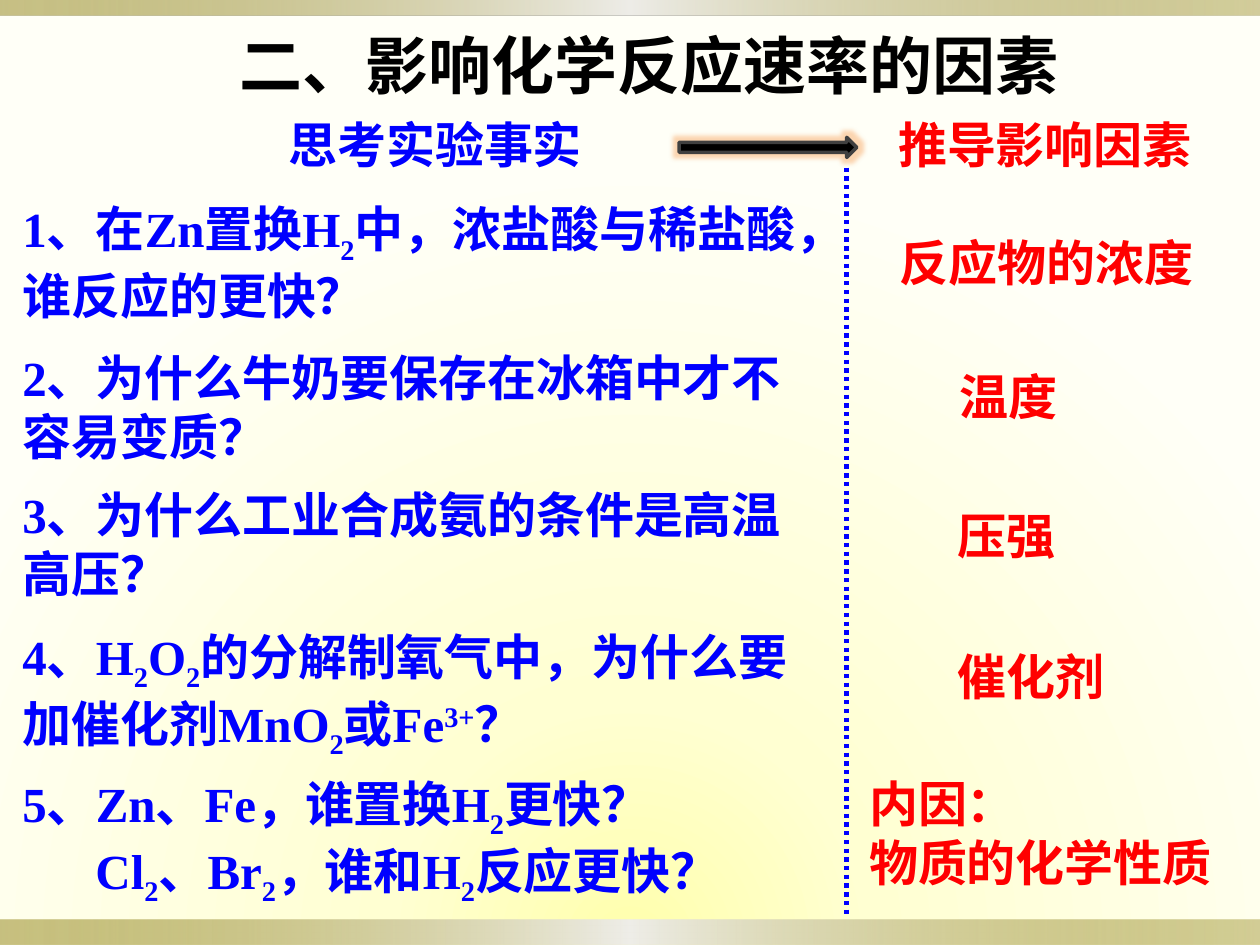
from dataclasses import dataclass

from lxml.etree import SubElement
from pptx import Presentation
from pptx.dml.color import RGBColor
from pptx.enum.dml import MSO_LINE
from pptx.enum.shapes import MSO_CONNECTOR, MSO_SHAPE
from pptx.enum.text import MSO_ANCHOR, MSO_AUTO_SIZE, PP_ALIGN
from pptx.oxml import parse_xml
from pptx.oxml.ns import nsdecls, qn
from pptx.util import Inches, Pt


@dataclass(frozen=True)
class Theme:
    title: str = "000000"
    question: str = "0000FF"
    factor: str = "FF0000"
    arrow: str = "000000"
    arrow_edge: str = "404040"
    glow: str = "F79646"
    page: tuple = ((0, "FFFFAC", 100), (31, "FFFFD2", 100), (100, "FFFFF7", 100))
    band: tuple = ((0, "918415", 50), (50, "EEEDE8", 100), (100, "918415", 40))
    title_size: int = 36
    text_size: int = 28
    title_font: str = "Calibri"
    latin_font: str = "Times New Roman"
    chinese_font: str = "Noto Sans CJK SC"


THEME = Theme()
BASELINES = {"_": "-25000", "^": "30000"}

# top, then lines of (indent, text); pieces starting with _ or ^ are lowered or raised
QUESTIONS = [
    (1.53, [(0, "1、在Zn置换H|_2|中，浓盐酸与稀盐酸，谁反应的更快？")]),
    (2.71, [(0, "2、为什么牛奶要保存在冰箱中才不容易变质？")]),
    (3.8, [(0, "3、为什么工业合成氨的条件是高温高压？")]),
    (4.92, [(0, "4、H|_2|O|_2|的分解制氧气中，为什么要加催化剂MnO|_2|或Fe|^3+|？")]),
    (6.09, [(0, "5、Zn、Fe，谁置换H|_2|更快？"),
            (0.58, "Cl|_2|、Br|_2|，谁和H|_2|反应更快？")]),
]
# left, top, width, lines
FACTORS = [
    (7.04, 1.8, 2.57, ["反应物的浓度"]),
    (7.52, 2.86, 0.99, ["温度"]),
    (7.5, 3.96, 0.99, ["压强"]),
    (7.5, 5.08, 1.39, ["催化剂"]),
    (6.8, 6.09, 2.96, ["内因：", "物质的化学性质"]),
]


def write_text(frame, lines, color, font=THEME.chinese_font, size=THEME.text_size, wrap=True):
    """Fill a text frame with (indent, marked text) lines."""
    frame.word_wrap = wrap
    frame.auto_size = MSO_AUTO_SIZE.NONE
    frame.vertical_anchor = MSO_ANCHOR.TOP
    for number, (indent, text) in enumerate(lines):
        paragraph = frame.add_paragraph() if number else frame.paragraphs[0]
        paragraph.alignment = PP_ALIGN.LEFT
        if indent:
            paragraph._p.get_or_add_pPr().set("marL", str(Inches(indent)))
        for piece in text.split("|"):
            run = paragraph.add_run()
            run.text = piece.lstrip("_^")
            run.font.size = Pt(size)
            run.font.bold = True
            run.font.name = font
            run.font.color.rgb = RGBColor.from_string(color)
            properties = run._r.get_or_add_rPr()
            SubElement(properties, qn("a:ea"), typeface=THEME.chinese_font)
            if piece[0] in BASELINES:
                properties.set("baseline", BASELINES[piece[0]])


def add_text(slide, left, top, width, height, lines, color, **text_format):
    box = slide.shapes.add_textbox(Inches(left), Inches(top), Inches(width), Inches(height))
    write_text(box.text_frame, lines, color, **text_format)


def set_gradient(fill, parent, stops, direction):
    """Give a fill the stops (position, colour, opacity) and the direction."""
    fill.gradient()
    entries = "".join(
        f'<a:gs pos="{position * 1000}"><a:srgbClr val="{color}">'
        f'<a:alpha val="{opacity * 1000}"/></a:srgbClr></a:gs>'
        for position, color, opacity in stops)
    gradient = parse_xml(f'<a:gradFill {nsdecls("a")} rotWithShape="1">'
                         f"<a:gsLst>{entries}</a:gsLst>{direction}</a:gradFill>")
    default = parent.find(".//" + qn("a:gradFill"))
    default.getparent().replace(default, gradient)


def add_band(slide, left, top, width, height):
    band = slide.shapes.add_shape(MSO_SHAPE.RECTANGLE, Inches(left), Inches(top),
                                  Inches(width), Inches(height))
    band.shadow.inherit = False
    band.line.fill.background()
    set_gradient(band.fill, band._element, THEME.band, '<a:lin ang="0" scaled="0"/>')


def add_backdrop(slide, width, height):
    set_gradient(slide.background.fill, slide.element, THEME.page,
                 '<a:path path="circle"><a:fillToRect l="50000" t="150000" r="50000"/></a:path>')
    add_band(slide, 0, height - 0.2, width, 0.2)
    add_band(slide, 0, 0, width, 0.12)


def add_title(slide, left, top, width, height):
    title = slide.shapes.title
    title.left, title.top = Inches(left), Inches(top)
    title.width, title.height = Inches(width), Inches(height)
    write_text(title.text_frame, [(0, "二、影响化学反应速率的因素")], THEME.title,
               font=THEME.title_font, size=THEME.title_size)


def add_arrow(slide, left, top, width, height):
    arrow = slide.shapes.add_shape(MSO_SHAPE.RIGHT_ARROW, Inches(left), Inches(top),
                                   Inches(width), Inches(height))
    arrow.shadow.inherit = False
    arrow.fill.solid()
    arrow.fill.fore_color.rgb = RGBColor.from_string(THEME.arrow)
    arrow.line.color.rgb = RGBColor.from_string(THEME.arrow_edge)
    arrow.line.width = Pt(2)
    effects = arrow._element.spPr.find(qn("a:effectLst"))
    glow = SubElement(effects, qn("a:glow"), rad=str(Pt(5)))
    glow_color = SubElement(glow, qn("a:srgbClr"), val=THEME.glow)
    SubElement(glow_color, qn("a:alpha"), val="40000")


def add_headings(slide, top, height):
    add_text(slide, 2.19, top, 3.44, height, [(0, "思考实验事实")], THEME.question)
    add_text(slide, 7.03, top, 2.89, height, [(0, "推导影响因素")], THEME.factor)
    add_arrow(slide, 5.39, top + 0.23, 1.41, 0.16)


def add_divider(slide, left, top, height):
    divider = slide.shapes.add_connector(MSO_CONNECTOR.STRAIGHT, Inches(left), Inches(top),
                                         Inches(left), Inches(top + height))
    divider.line.color.rgb = RGBColor.from_string(THEME.question)
    divider.line.width = Pt(2.5)
    divider.line.dash_style = MSO_LINE.ROUND_DOT
    SubElement(divider._element.spPr, qn("a:effectLst"))


def add_questions(slide, left, width):
    for top, lines in QUESTIONS:
        add_text(slide, left, top, width, 1.04, lines, THEME.question, font=THEME.latin_font)


def add_factors(slide):
    for left, top, width, lines in FACTORS:
        add_text(slide, left, top, width, 0.1 + 0.47 * len(lines),
                 [(0, line) for line in lines], THEME.factor, wrap=False)


def main():
    presentation = Presentation()
    presentation.slide_width, presentation.slide_height = Inches(10), Inches(7.5)
    slide = presentation.slides.add_slide(presentation.slide_layouts[5])
    add_backdrop(slide, 10, 7.5)
    add_title(slide, 1.8, 0.16, 7.42, 0.71)
    add_questions(slide, 0.08, 6.5)
    add_factors(slide)
    add_divider(slide, 6.72, 1.33, 5.94)
    add_headings(slide, 0.86, 0.57)
    presentation.save("out.pptx")


if __name__ == "__main__":
    main()
